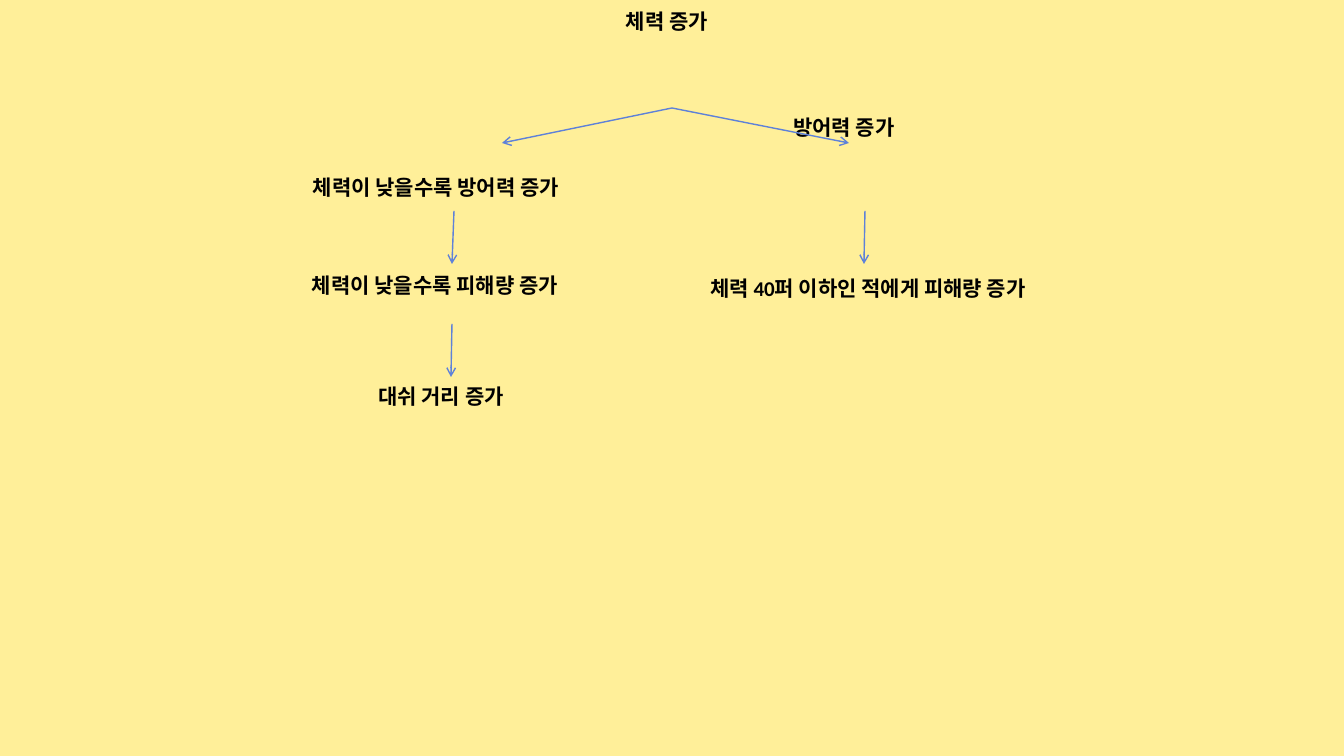
from lxml import etree
from pptx import Presentation
from pptx import util as u
from pptx.dml.color import RGBColor
from pptx.enum import shapes, text
from pptx.oxml.ns import qn

PX = 914400 / 100.8
COLOURS = {"background": "FFEF99", "label": "000000", "arrow": "5E81D9"}
LABEL_HEIGHT = 40


def px(length):
    return u.Emu(round(length * PX))


def write_label(label, wording, centre_x, centre_y, width):
    label.left, label.top = px(centre_x - width // 2), px(centre_y - LABEL_HEIGHT // 2)
    label.width, label.height = px(width), px(LABEL_HEIGHT)
    frame = label.text_frame
    frame.text = wording
    frame.word_wrap = True
    frame.auto_size = text.MSO_AUTO_SIZE.NONE
    frame.vertical_anchor = text.MSO_ANCHOR.MIDDLE
    frame.margin_left = frame.margin_right = frame.margin_top = frame.margin_bottom = 0
    paragraph = frame.paragraphs[0]
    paragraph.alignment = text.PP_ALIGN.CENTER
    paragraph.line_spacing = 1.0
    paragraph.font.name = "Calibri"
    paragraph.font.size = u.Pt(15)
    paragraph.font.bold = True
    paragraph.font.color.rgb = RGBColor.from_string(COLOURS["label"])


deck = Presentation()
deck.slide_width, deck.slide_height = px(1344), px(756)
slide = deck.slides.add_slide(deck.slide_layouts[5])
slide.background.fill.solid()
slide.background.fill.fore_color.rgb = RGBColor.from_string(COLOURS["background"])

write_label(slide.shapes.title, "체력 증가", 667, 21, 112)

# wording, centre x, centre y, width
upgrades = [
    ("방어력 증가", 844, 127, 132),
    ("체력이 낮을수록 피해량 증가", 435, 285, 302),
    ("체력이 낮을수록 방어력 증가", 436, 187, 302),
    ("체력 40퍼 이하인 적에게 피해량 증가", 868, 288, 372),
    ("대쉬 거리 증가", 441, 396, 168),
]
for wording, centre_x, centre_y, width in upgrades:
    write_label(slide.shapes.add_textbox(0, 0, 0, 0), wording, centre_x, centre_y, width)

# start x, start y, end x, end y
branches = [
    (672, 108, 502, 143),
    (672, 108, 849, 143),
    (454, 211, 452, 264),
    (865, 211, 864, 264),
    (452, 324, 451, 377),
]
for ends in branches:
    arrow = slide.shapes.add_connector(shapes.MSO_CONNECTOR.STRAIGHT, *map(px, ends))
    arrow.line.color.rgb = RGBColor.from_string(COLOURS["arrow"])
    arrow.line.width = u.Pt(1)
    etree.SubElement(arrow.line._get_or_add_ln(), qn("a:tailEnd"), type="arrow")
    etree.SubElement(arrow._element.spPr, qn("a:effectLst"))

deck.save("out.pptx")
